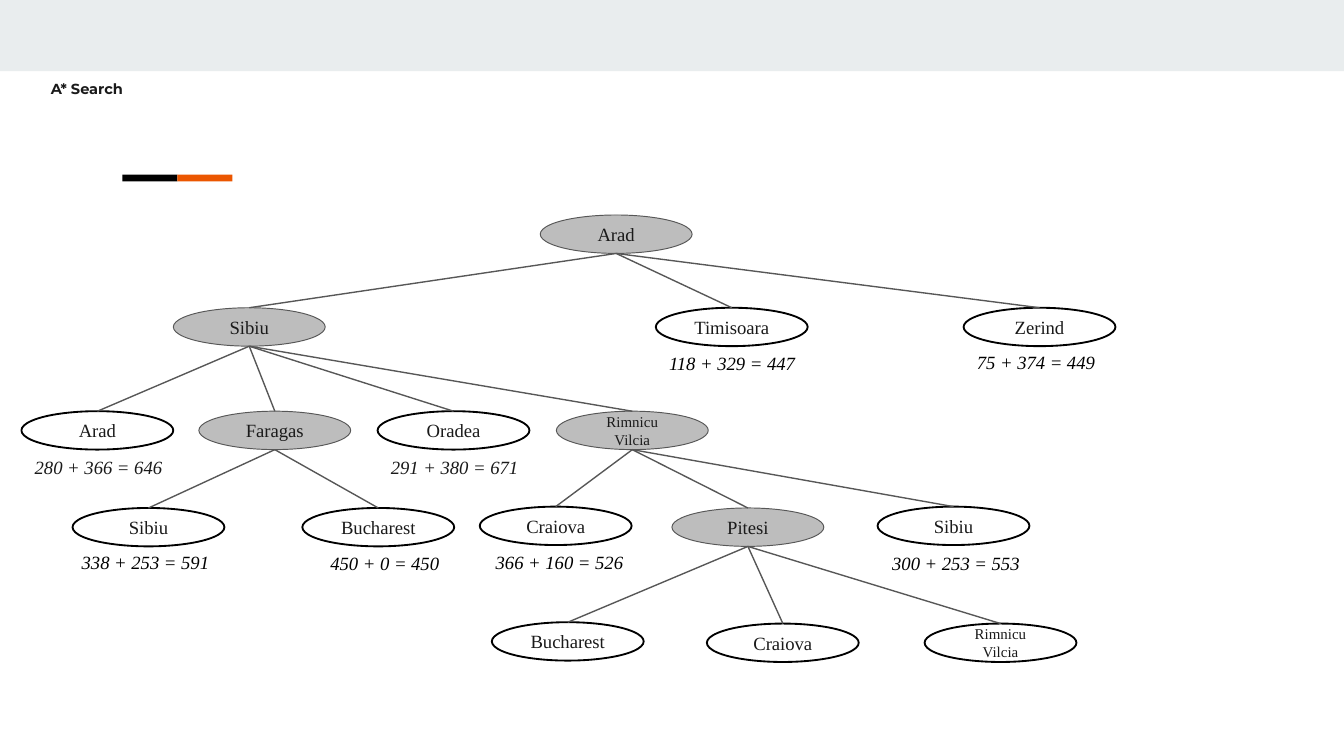
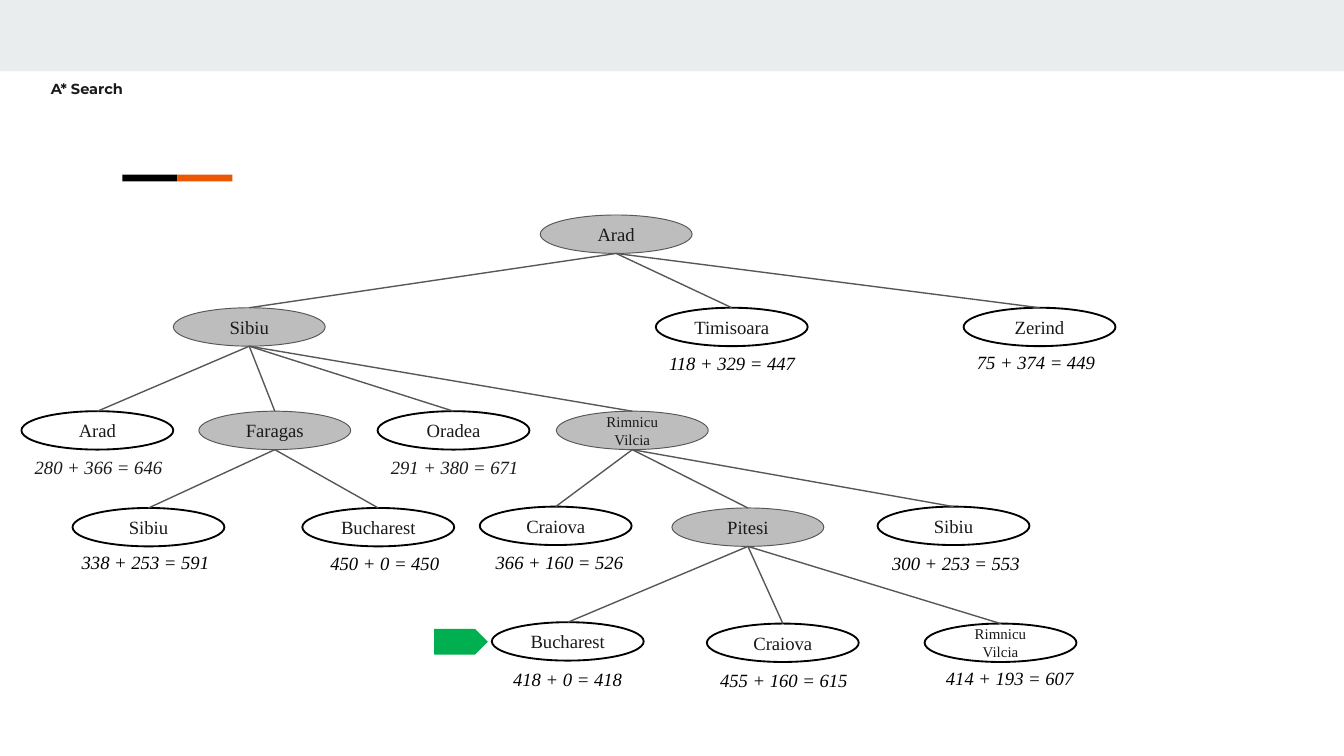
"""Two slides that show an A* search tree, before and after the goal is found."""
from dataclasses import dataclass
from typing import Optional

from lxml import etree
from pptx import Presentation
from pptx import util as u
from pptx.dml.color import RGBColor
from pptx.enum import shapes, text
from pptx.oxml.ns import qn


@dataclass(frozen=True)
class Theme:
    """Colours, fonts, type sizes and line widths of the deck."""
    band: str = "E9EDEE"
    black: str = "000000"
    accent: str = "EB5600"
    ink: str = "1A1A1A"
    expanded: str = "BDBDBD"
    edge: str = "575757"
    goal: str = "00B050"
    title_font: str = "Montserrat"
    tree_font: str = "Times New Roman"
    title_size: float = 7.8
    tree_size: float = 10
    small_size: float = 8
    expanded_line: float = 0.51
    frontier_line: float = 0.99
    edge_line: float = 0.75


@dataclass(frozen=True)
class Cost:
    """Path cost plus estimate, placed relative to its city in grid units."""
    sum: str
    shift: float = 0
    drop: float = 2.8
    width: float = 14.3
    colour: str = "000000"


@dataclass(frozen=True)
class City:
    """A node of the tree; one with children has been expanded."""
    name: str
    column: float
    cost: Optional[Cost] = None
    children: tuple["City", ...] = ()
    lift: float = 0


THEME = Theme()
WIDTH, HEIGHT = u.Inches(10), u.Inches(5.625)
COLUMN, ROW = WIDTH / 100, HEIGHT / 56.25
LEVEL_ROWS = (16, 22.9, 30.6, 37.8, 46.4)
CITY_COLUMNS, CITY_ROWS = 11.3, 2.86

PITESI = City("Pitesi", 50, children=(
    City("Bucharest", 36.6, Cost("418 + 0 = 418", 0.6, 2.9), lift=0.1),
    City("Craiova", 52.6, Cost("455 + 160 = 615", 0, 2.9)),
    City("Rimnicu\nVilcia", 68.8, Cost("414 + 193 = 607", 0.6, 2.7)),
))
FARAGAS = City("Faragas", 14.8, children=(
    City("Sibiu", 5.4, Cost("338 + 253 = 591", -0.3, 2.7)),
    City("Bucharest", 22.5, Cost("450 + 0 = 450", 1.1)),
))
RIMNICU = City("Rimnicu\nVilcia", 41.4, children=(
    City("Craiova", 35.7, Cost("366 + 160 = 526", 0.2), lift=0.1),
    PITESI,
    City("Sibiu", 65.3, Cost("300 + 253 = 553", 0.1, 2.9), lift=0.1),
))
SIBIU = City("Sibiu", 12.9, children=(
    City("Arad", 1.6, Cost("280 + 366 = 646", width=13.8, colour=THEME.ink)),
    FARAGAS,
    City("Oradea", 28.1, Cost("291 + 380 = 671", width=14, colour=THEME.ink)),
    RIMNICU,
))
ARAD = City("Arad", 40.2, children=(
    SIBIU,
    City("Timisoara", 48.8, Cost("118 + 329 = 447")),
    City("Zerind", 71.7, Cost("75 + 374 = 449", drop=2.7, width=13)),
))


def rgb(colour: str) -> RGBColor:
    """Turn a hex string into a colour."""
    return RGBColor.from_string(colour)


def place(column: float, row: float, columns: float, rows: float) -> list[int]:
    """Give left, top, width and height of a block on the grid."""
    return [round(column * COLUMN), round(row * ROW),
            round(columns * COLUMN), round(rows * ROW)]


def write(frame, content: str, font: str, size: float, colour: str,
          bold: bool = False, italic: bool = False) -> None:
    """Fill a text frame and format all its runs."""
    frame.text = content
    for paragraph in frame.paragraphs:
        for run in paragraph.runs:
            run.font.name, run.font.size = font, u.Pt(size)
            run.font.bold, run.font.italic = bold, italic
            run.font.color.rgb = rgb(colour)


def add_block(slide, kind, area: list[int], fill: Optional[str],
              line: Optional[str] = None, weight: float = 0):
    """Draw a flat preset shape with an optional fill and outline."""
    block = slide.shapes.add_shape(kind, *area)
    block.shadow.inherit = False
    if fill:
        block.fill.solid()
        block.fill.fore_color.rgb = rgb(fill)
    else:
        block.fill.background()
    if line:
        block.line.color.rgb = rgb(line)
        block.line.width = u.Pt(weight)
    else:
        block.line.fill.background()
    return block


def add_text(slide, area: list[int], content: str, font: str, size: float,
             colour: str, **style: bool):
    """Add a wrapping text box and return its frame."""
    frame = slide.shapes.add_textbox(*area).text_frame
    frame.word_wrap = True
    write(frame, content, font, size, colour, **style)
    return frame


def add_frame(slide) -> None:
    """Draw the top band, the two-colour rule and the title."""
    rectangle = shapes.MSO_SHAPE.RECTANGLE
    add_block(slide, rectangle, place(0, 0, 100, 5.3), THEME.band)
    for index, colour in enumerate((THEME.black, THEME.accent)):
        add_block(slide, rectangle, place(9.1 + 4.1 * index, 13, 4.1, 0.5), colour)
    title = add_text(slide, place(2.8, 5.3, 17.9, 5.9), "A* Search",
                     THEME.title_font, THEME.title_size, THEME.ink, bold=True)
    title.margin_top = title.margin_bottom = u.Inches(0.1)


def city_row(city: City, level: int) -> float:
    """Give the grid row of a city's top edge."""
    return LEVEL_ROWS[level] - city.lift


def add_edge(slide, parent: City, child: City, level: int) -> None:
    """Join the bottom of a parent on this level to the top of its child."""
    middle = CITY_COLUMNS / 2
    start = place(parent.column + middle, city_row(parent, level) + CITY_ROWS, 0, 0)
    end = place(child.column + middle, city_row(child, level + 1), 0, 0)
    edge = slide.shapes.add_connector(shapes.MSO_CONNECTOR.STRAIGHT, *start[:2], *end[:2])
    edge.line.color.rgb = rgb(THEME.edge)
    edge.line.width = u.Pt(THEME.edge_line)
    etree.SubElement(edge.line._get_or_add_ln().getparent(), qn("a:effectLst"))


def add_city(slide, city: City, level: int) -> None:
    """Draw a city's ellipse, grey once the city is expanded."""
    look = ((THEME.expanded, THEME.edge, THEME.expanded_line) if city.children
            else (None, THEME.black, THEME.frontier_line))
    area = place(city.column, city_row(city, level), CITY_COLUMNS, CITY_ROWS)
    frame = add_block(slide, shapes.MSO_SHAPE.OVAL, area, *look).text_frame
    size = THEME.small_size if "\n" in city.name else THEME.tree_size
    write(frame, city.name, THEME.tree_font, size, THEME.ink)
    frame.vertical_anchor = text.MSO_ANCHOR.MIDDLE
    for paragraph in frame.paragraphs:
        paragraph.alignment = text.PP_ALIGN.CENTER


def add_cost(slide, city: City, level: int) -> None:
    """Write the cost below a city."""
    cost = city.cost
    area = place(city.column + cost.shift, city_row(city, level) + cost.drop,
                 cost.width, 2.7)
    frame = add_text(slide, area, cost.sum, THEME.tree_font, THEME.tree_size,
                     cost.colour, italic=True)
    frame.auto_size = text.MSO_AUTO_SIZE.SHAPE_TO_FIT_TEXT


def add_tree(slide, city: City, costed_levels: int, level: int = 0) -> None:
    """Draw a city and all below it, with costs on the first levels only."""
    add_city(slide, city, level)
    if city.cost and level < costed_levels:
        add_cost(slide, city, level)
    for child in city.children:
        add_tree(slide, child, costed_levels, level + 1)
        add_edge(slide, city, child, level)


def add_goal_marker(slide) -> None:
    """Point at the goal city on the last level."""
    add_block(slide, shapes.MSO_SHAPE.PENTAGON, place(32.3, 46.8, 4, 1.9), THEME.goal)


def main() -> None:
    """Build and save the deck."""
    deck = Presentation()
    deck.slide_width, deck.slide_height = WIDTH, HEIGHT
    last = len(LEVEL_ROWS)
    for costed_levels in (last - 1, last):
        slide = deck.slides.add_slide(deck.slide_layouts[6])
        add_frame(slide)
        add_tree(slide, ARAD, costed_levels)
        if costed_levels == last:
            add_goal_marker(slide)
    deck.save("out.pptx")


main()
